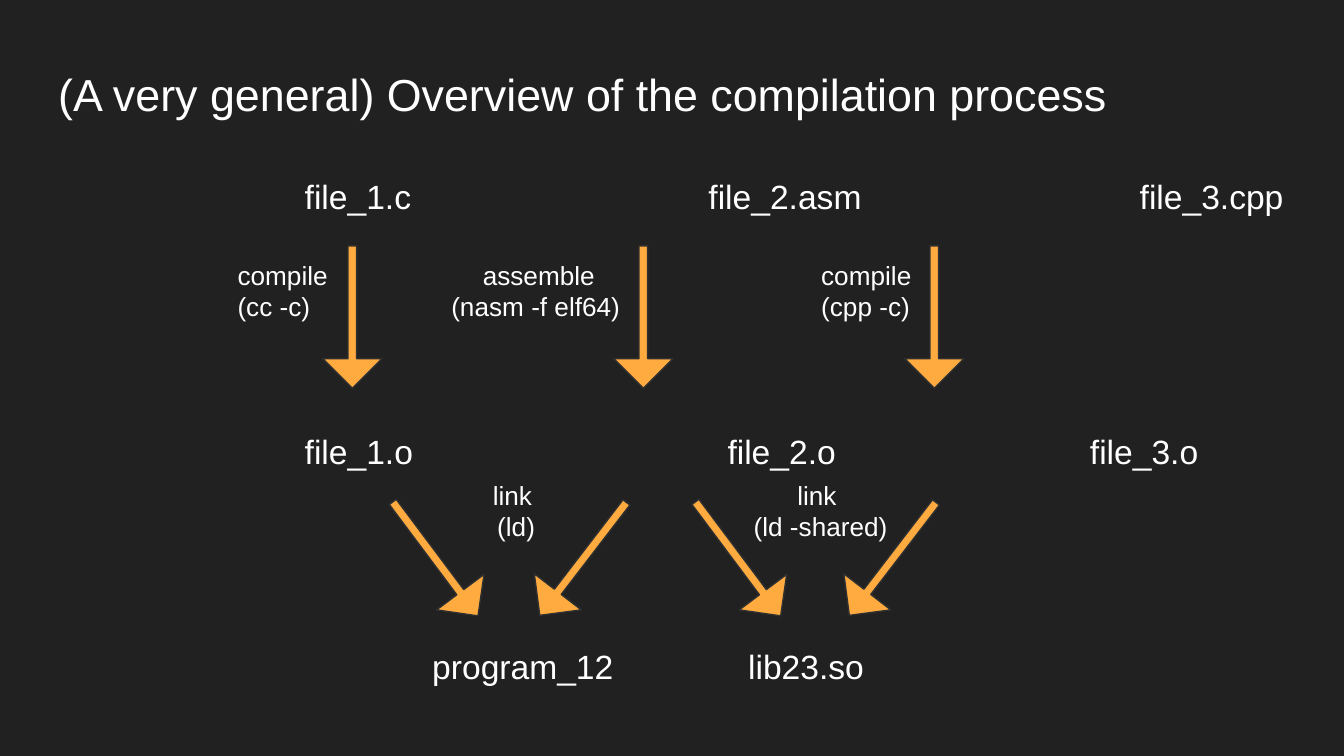
import pptx
import pptx.dml.color
import pptx.enum.shapes
import pptx.enum.text
import pptx.util

Cm = pptx.util.Cm
ALIGN = pptx.enum.text.PP_ALIGN
LEFT, CENTER = ALIGN.LEFT, ALIGN.CENTER

BACKGROUND = pptx.dml.color.RGBColor(0x21, 0x21, 0x21)
WHITE = pptx.dml.color.RGBColor(0xFF, 0xFF, 0xFF)
ORANGE = pptx.dml.color.RGBColor(0xFF, 0xAB, 0x40)
OUTLINE = pptx.dml.color.RGBColor(0x30, 0x30, 0x30)

FONT = "Arial"
TITLE_SIZE, FILE_SIZE, STEP_SIZE = 24, 18, 14
INSET = 0.25


class Diagram:
    def __init__(self, slide):
        self.slide = slide
        slide.background.fill.solid()
        slide.background.fill.fore_color.rgb = BACKGROUND

    def set_lines(self, frame, lines, size):
        """Fill a text frame with (text, alignment) lines in the slide's style."""
        frame.word_wrap = True
        frame.auto_size = pptx.enum.text.MSO_AUTO_SIZE.NONE
        frame.vertical_anchor = pptx.enum.text.MSO_ANCHOR.TOP
        frame.margin_left = frame.margin_right = Cm(INSET)
        frame.margin_top = frame.margin_bottom = Cm(INSET)
        for index, (text, alignment) in enumerate(lines):
            paragraph = frame.add_paragraph() if index else frame.paragraphs[0]
            paragraph.alignment = alignment
            run = paragraph.add_run()
            run.text = text
            run.font.name = FONT
            run.font.size = pptx.util.Pt(size)
            run.font.color.rgb = WHITE

    def title(self, text):
        heading = self.slide.shapes.title
        heading.left, heading.top = Cm(0.85), Cm(1.02)
        heading.width, heading.height = Cm(23.72), Cm(1.52)
        self.set_lines(heading.text_frame, [(text, LEFT)], TITLE_SIZE)

    def label(self, left, top, width, height, lines, size):
        box = self.slide.shapes.add_textbox(Cm(left), Cm(top), Cm(width), Cm(height))
        self.set_lines(box.text_frame, lines, size)

    def file_name(self, name, left, top, width=3.5):
        self.label(left, top, width, 1.3, [(name, LEFT)], FILE_SIZE)

    def step(self, left, top, width, *lines):
        self.label(left, top, width, 1.7, lines, STEP_SIZE)

    def arrow(self, left, top, rotation=0):
        arrow = self.slide.shapes.add_shape(
            pptx.enum.shapes.MSO_SHAPE.DOWN_ARROW,
            Cm(left), Cm(top), Cm(1.12), Cm(2.69))
        arrow.adjustments[0] = 0.146
        arrow.adjustments[1] = 0.5
        arrow.rotation = rotation
        arrow.shadow.inherit = False
        arrow.fill.solid()
        arrow.fill.fore_color.rgb = ORANGE
        arrow.line.color.rgb = OUTLINE
        arrow.line.width = pptx.util.Pt(0.75)


def main():
    deck = pptx.Presentation()
    deck.slide_width, deck.slide_height = Cm(25.4), Cm(14.29)
    diagram = Diagram(deck.slides.add_slide(deck.slide_layouts[5]))
    diagram.title("(A very general) Overview of the compilation process")

    sources = [("file_1.c", 5.51), ("file_2.asm", 13.14), ("file_3.cpp", 21.29)]
    objects = [("file_1.o", 5.51), ("file_2.o", 13.5), ("file_3.o", 20.35)]
    for row, top in ((sources, 3.07), (objects, 7.9)):
        for name, left in row:
            diagram.file_name(name, left, top)

    build_top = 4.65
    for column in range(3):
        diagram.arrow(6.1 + 5.5 * column, build_top)
    diagram.step(4.24, build_top, 2.95, ("compile", LEFT), ("(cc -c)", LEFT))
    diagram.step(8.28, build_top, 3.81, ("assemble", CENTER), ("(nasm -f elf64)", LEFT))
    diagram.step(15.27, build_top, 2.95, ("compile", LEFT), ("(cpp -c)", LEFT))

    for right_going, left_going in ((7.67, 10.46), (13.39, 16.31)):
        diagram.arrow(right_going, 9.22, 323.2)
        diagram.arrow(left_going, 9.22, 37.5)
    for left, width, command in ((8.28, 2.95, "(ld)"), (13.77, 3.48, "(ld -shared)")):
        diagram.step(left, 8.81, width, ("link ", CENTER), (command, CENTER))

    diagram.file_name("program_12", 7.92, 11.96, 4.17)
    diagram.file_name("lib23.so", 13.89, 11.96, 3.2)
    deck.save("out.pptx")


if __name__ == "__main__":
    main()
